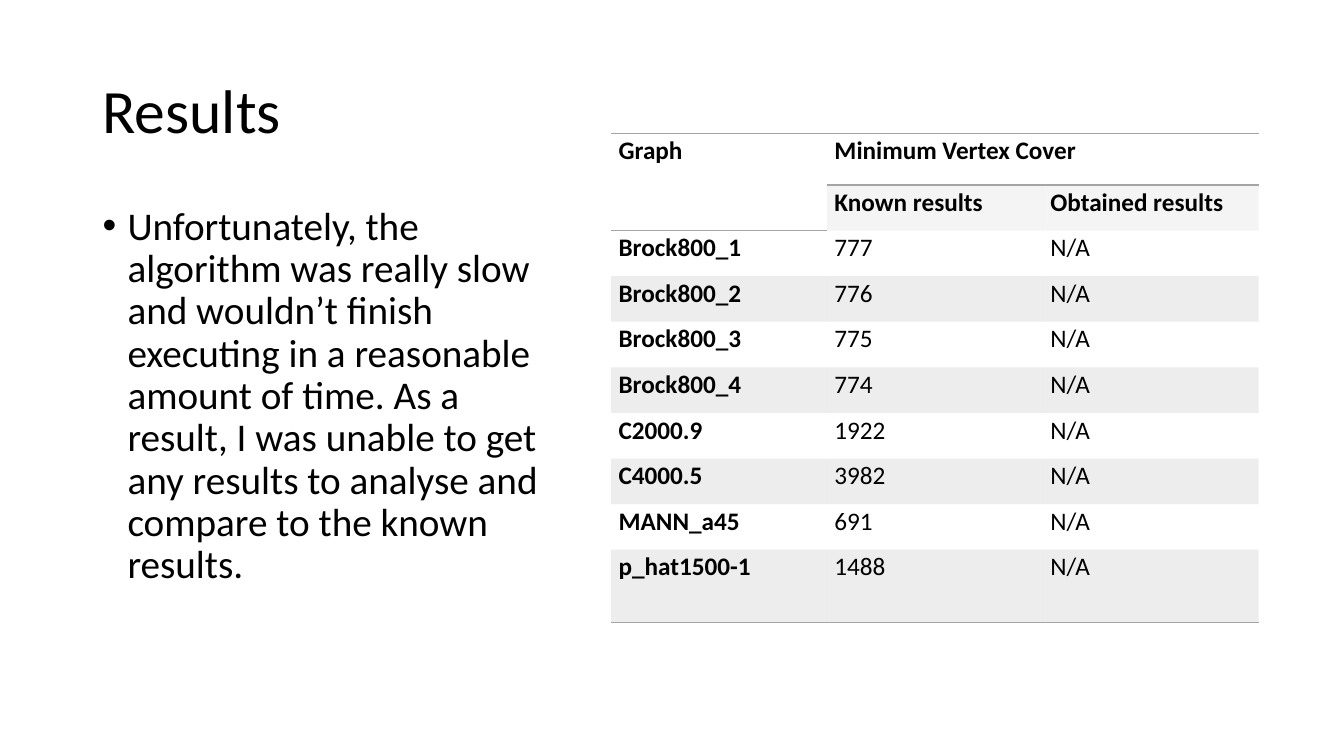
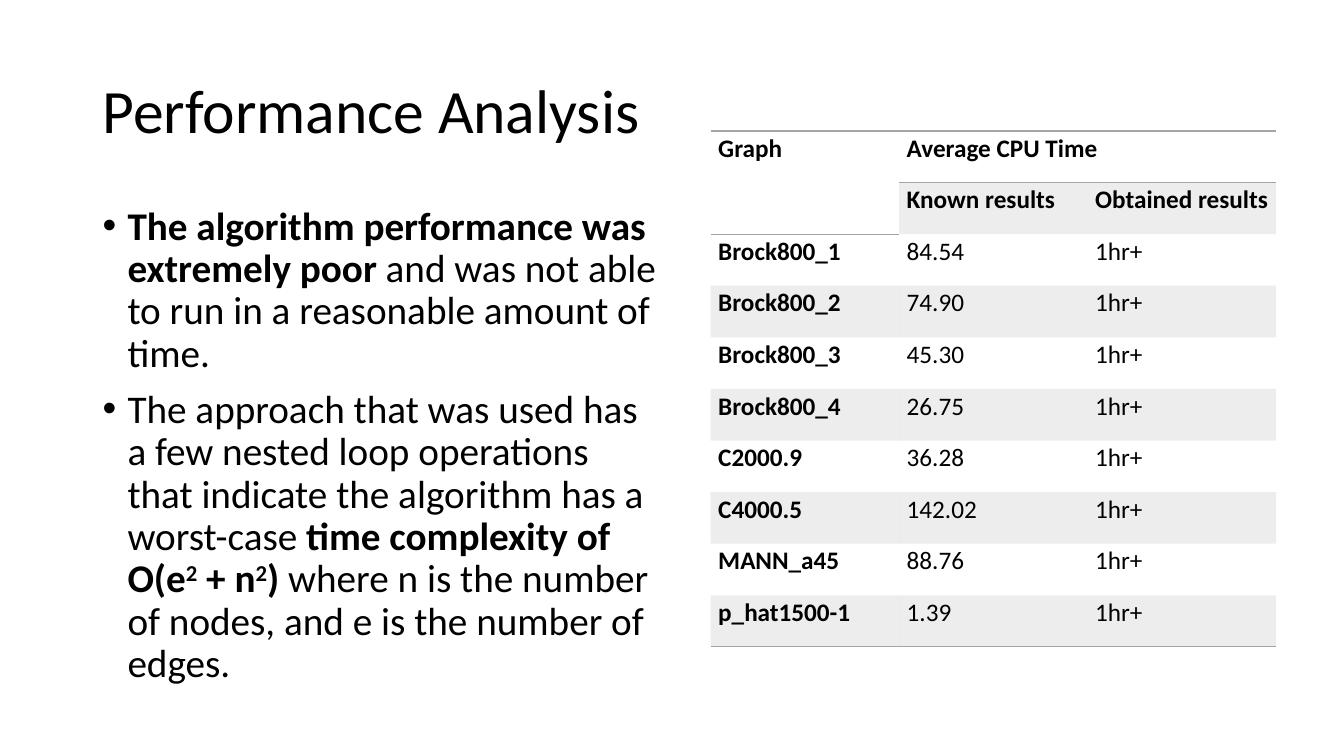
"""Builds two slides that set bullet findings beside a table of graph results."""
from lxml import etree
from pptx import Presentation
from pptx import util as u
from pptx.dml.color import RGBColor
from pptx.enum import text
from pptx.oxml.ns import qn

BLACK = RGBColor(0x00, 0x00, 0x00)
GREY = RGBColor(0xA5, 0xA5, 0xA5)
LIGHT_GREY = RGBColor(0xC9, 0xC9, 0xC9)
FONT = "Calibri"
PLAIN_TABLE_STYLE = "{2D5ABB26-0587-4C30-8999-92F81FD0307C}"

LEFT = 2.33
TITLE_BOX = (LEFT, 1.01, 29.21, 3.68)
BODY_TOP = 5.07
INDENT = 0.63
CELL_MARGIN = 0.19

GRAPHS = ["Brock800_1", "Brock800_2", "Brock800_3", "Brock800_4",
          "C2000.9", "C4000.5", "MANN_a45", "p_hat1500-1"]
SUBHEADS = ["", "Known results", "Obtained results"]

SLIDES = [
    {
        "title": "Results",
        "body_size": (11.56, 12.09),
        "bullets": [
            [("Unfortunately, the algorithm was really slow and wouldn’t finish "
              "executing in a reasonable amount of time. As a result, I was unable "
              "to get any results to analyse and compare to the known results.", "")],
        ],
        "measure": "Minimum Vertex Cover",
        "known": ["777", "776", "775", "774", "1922", "3982", "691", "1488"],
        "obtained": "N/A",
        "table_at": (15.4, 3.36),
        "col_width": 5.44,
        "row_heights": [1.3] + [1.15] * 8 + [1.83],
        "subhead_fill": LIGHT_GREY,
    },
    {
        "title": "Performance Analysis",
        "body_size": (14.6, 13.39),
        "bullets": [
            [("The algorithm performance was extremely poor ", "bold"),
             ("and was not able to run in a reasonable amount of time.", "")],
            [("The approach that was used has a few nested loop operations that "
              "indicate the algorithm has a worst-case ", ""),
             ("time complexity of O(e", "bold"), ("2", "bold super"),
             (" + n", "bold"), ("2", "bold super"), (") ", "bold"),
             ("where n is the number of nodes, and e is the number of edges.", "")],
        ],
        "measure": "Average CPU Time",
        "known": ["84.54", "74.90", "45.30", "26.75", "36.28", "142.02", "88.76", "1.39"],
        "obtained": "1hr+",
        "table_at": (17.91, 3.3),
        "col_width": 4.75,
        "row_heights": [1.3] * 10,
        "subhead_fill": GREY,
    },
]


def format_run(r, size, bold=False):
    r.font.name, r.font.size, r.font.bold = FONT, u.Pt(size), bold
    r.font.color.rgb = BLACK


def place(sp, left, top, width, height):
    sp.left, sp.top, sp.width, sp.height = map(u.Cm, (left, top, width, height))
    sp.text_frame.word_wrap = True
    sp.text_frame.auto_size = text.MSO_AUTO_SIZE.NONE


def add_title(s, title):
    sp = s.shapes.title
    place(sp, *TITLE_BOX)
    tf = sp.text_frame
    tf.text = title
    tf.vertical_anchor = text.MSO_ANCHOR.MIDDLE
    p = tf.paragraphs[0]
    p.alignment, p.line_spacing = text.PP_ALIGN.LEFT, 0.9
    format_run(p.runs[0], 44)


def add_bullets(s, bullets, size):
    sp = s.placeholders[1]
    place(sp, LEFT, BODY_TOP, *size)
    tf = sp.text_frame
    for i, pieces in enumerate(bullets):
        p = tf.add_paragraph() if i else tf.paragraphs[0]
        p.line_spacing, p.space_before = 0.9, u.Pt(10)
        pPr = p._p.get_or_add_pPr()
        pPr.set("marL", str(u.Cm(INDENT)))
        pPr.set("indent", str(-u.Cm(INDENT)))
        for words, style in pieces:
            r = p.add_run()
            r.text = words
            format_run(r, 28, "bold" in style)
            if "super" in style:
                r._r.get_or_add_rPr().set("baseline", "30000")


def add_border(cell, side):
    ln = etree.SubElement(cell._tc.get_or_add_tcPr(), qn(f"a:ln{side}"), w=str(u.Pt(1)))
    fill = etree.SubElement(ln, qn("a:solidFill"))
    etree.SubElement(fill, qn("a:srgbClr"), val=str(GREY))


def tint(cell, color):
    cell.fill.solid()
    cell.fill.fore_color.rgb = color
    clr = cell._tc.tcPr.find(f"{qn('a:solidFill')}/{qn('a:srgbClr')}")
    etree.SubElement(clr, qn("a:alpha"), val="20000")


def fill_cell(cell, words, bold):
    cell.margin_left = cell.margin_right = u.Cm(CELL_MARGIN)
    cell.margin_top = cell.margin_bottom = 0
    cell.text_frame.text = words
    p = cell.text_frame.paragraphs[0]
    p.line_spacing, p.space_after = 1.07, u.Pt(8)
    for r in p.runs:
        format_run(r, 18, bold)


def add_results_table(s, d):
    rows = [["Graph", d["measure"], ""], SUBHEADS]
    rows += [[graph, known, d["obtained"]] for graph, known in zip(GRAPHS, d["known"])]
    heights, last = d["row_heights"], len(rows) - 1
    left, top = d["table_at"]
    frame = s.shapes.add_table(len(rows), 3, u.Cm(left), u.Cm(top),
                               u.Cm(3 * d["col_width"]), u.Cm(sum(heights)))
    table = frame.table
    table.first_row = table.horz_banding = False
    table._tbl.tblPr.find(qn("a:tableStyleId")).text = PLAIN_TABLE_STYLE
    for col in table.columns:
        col.width = u.Cm(d["col_width"])
    table.cell(0, 0).merge(table.cell(1, 0))
    table.cell(0, 1).merge(table.cell(0, 2))

    for i, row in enumerate(rows):
        table.rows[i].height = u.Cm(heights[i])
        for j, words in enumerate(row):
            cell = table.cell(i, j)
            fill_cell(cell, words, i < 2 or j == 0)
            if i == 0:
                add_border(cell, "T")
            if i in (0, last) or (i, j) == (1, 0):
                add_border(cell, "B")
            if i == 1 and j > 0:
                tint(cell, d["subhead_fill"])
            elif i > 1 and i % 2:
                tint(cell, GREY)
            else:
                cell.fill.background()


def main():
    prs = Presentation()
    prs.slide_width, prs.slide_height = u.Cm(33.87), u.Cm(19.05)
    for d in SLIDES:
        s = prs.slides.add_slide(prs.slide_layouts[1])
        add_title(s, d["title"])
        add_bullets(s, d["bullets"], d["body_size"])
        add_results_table(s, d)
    prs.save("out.pptx")


if __name__ == "__main__":
    main()
